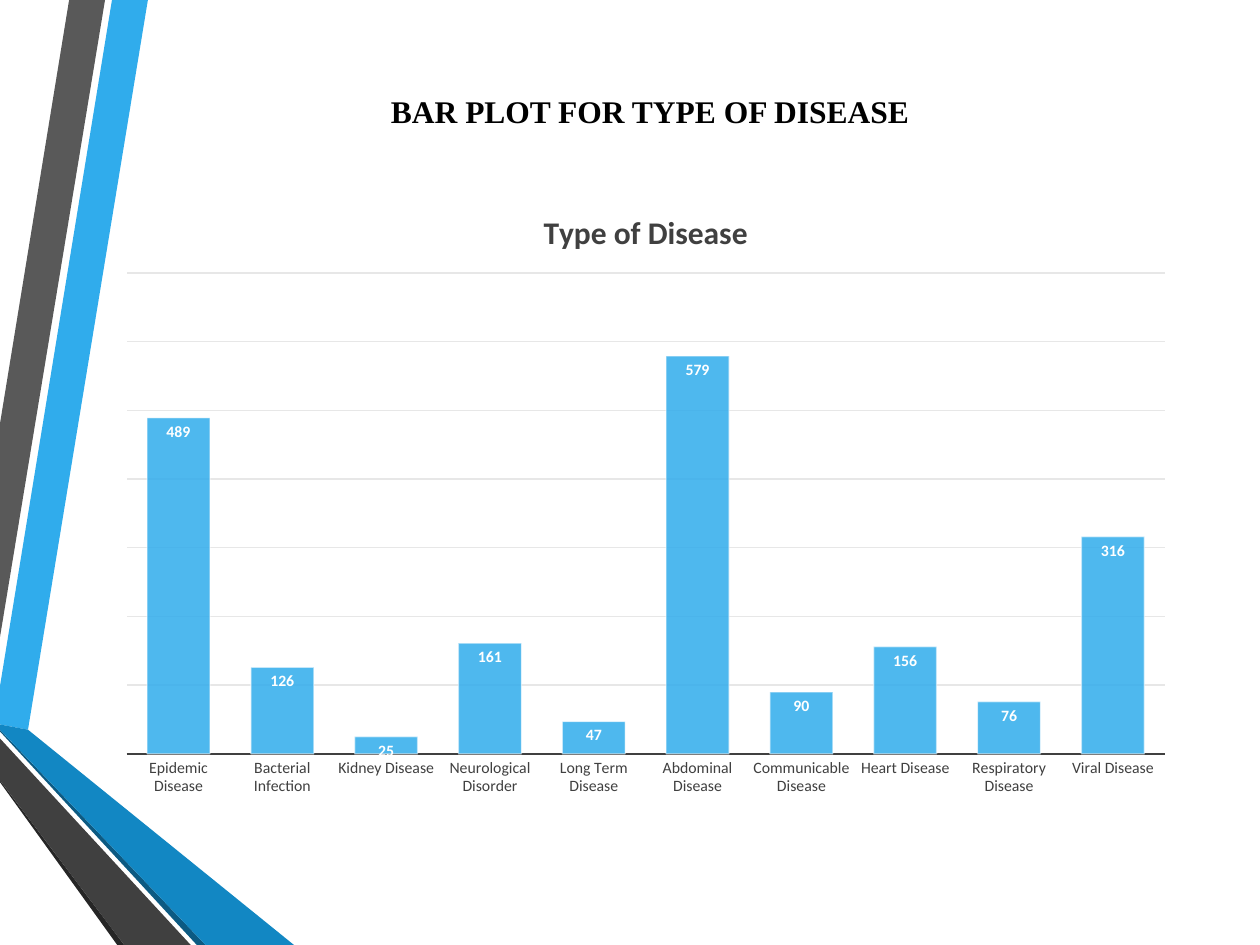
from lxml import etree
from pptx import Presentation
from pptx import util as u
from pptx.chart.data import CategoryChartData
from pptx.dml.color import RGBColor
from pptx.enum import chart as ch, text
from pptx.oxml import parse_xml
from pptx.oxml.ns import nsdecls, qn

COLORS = {
    "blue": "30ACEC", "mid_blue": "1287C3", "deep_blue": "0C5A82",
    "gray": "595959", "dark_gray": "404040", "near_black": "262626",
    "grid": "E7E7E7", "black": "000000", "white": "FFFFFF",
}

RIBBONS = [
    ("blue", [(0, 392), (0, 414), (16, 417), (84.5, 0), (64, 0)]),
    ("gray", [(60, 0), (39.5, 0), (0, 242), (0, 364)]),
    ("near_black", [(0, 446), (0, 447), (67, 540), (71, 540)]),
    ("deep_blue", [(0, 417), (0, 418), (112.5, 540), (117.5, 540)]),
    ("mid_blue", [(0, 417), (117.5, 540), (168, 540), (16, 417), (0, 414)]),
    ("dark_gray", [(0, 446), (71, 540), (109, 540), (0, 422)]),
]

DISEASES = {
    "Epidemic Disease": 489, "Bacterial Infection": 126, "Kidney Disease": 25,
    "Neurological Disorder": 161, "Long Term Disease": 47,
    "Abdominal Disease": 579, "Communicable Disease": 90,
    "Heart Disease": 156, "Respiratory Disease": 76, "Viral Disease": 316,
}


def rgb(name):
    return RGBColor.from_string(COLORS[name])


def style_font(font, name, size, color, bold=False):
    font.name = name
    font.size = u.Pt(size)
    font.bold = bold
    font.color.rgb = rgb(color)


def style_line(line, color, width):
    line.color.rgb = rgb(color)
    line.width = u.Pt(width)


def set_alpha(fill_parent, percent):
    color = fill_parent.find(qn("a:solidFill")).find(qn("a:srgbClr"))
    etree.SubElement(color, qn("a:alpha"), val=str(percent * 1000))


def add_ribbon(s, color, points):
    start, *rest = [(u.Pt(x), u.Pt(y)) for x, y in points]
    builder = s.shapes.build_freeform(*start)
    builder.add_line_segments(rest, close=True)
    sp = builder.convert_to_shape()
    sp.shadow.inherit = False
    sp.fill.solid()
    sp.fill.fore_color.rgb = rgb(color)
    sp.line.fill.background()


def add_heading(s, content, left, top, width, height):
    sp = s.shapes.add_textbox(u.Pt(left), u.Pt(top), u.Pt(width), u.Pt(height))
    tf = sp.text_frame
    tf.word_wrap = True
    p = tf.paragraphs[0]
    p.alignment = text.PP_ALIGN.CENTER
    r = p.add_run()
    r.text = content
    style_font(r.font, "Times New Roman", 18, "black", True)


def set_plot_layout(chart, x, y, w, h):
    area = chart.plots[0]._element.getparent()
    for old in area.findall(qn("c:layout")):
        area.remove(old)
    area.insert(0, parse_xml(
        f'<c:layout {nsdecls("c")}><c:manualLayout><c:layoutTarget val="inner"/>'
        '<c:xMode val="edge"/><c:yMode val="edge"/>'
        f'<c:x val="{x}"/><c:y val="{y}"/><c:w val="{w}"/><c:h val="{h}"/>'
        '</c:manualLayout></c:layout>'))


def style_title(chart, content):
    chart.has_title = True
    chart.chart_title.include_in_layout = False
    r = chart.chart_title.text_frame.paragraphs[0].add_run()
    r.text = content
    style_font(r.font, "Calibri", 18, "dark_gray", True)


def style_axes(chart):
    category = chart.category_axis
    category.major_tick_mark = ch.XL_TICK_MARK.NONE
    category.has_major_gridlines = False
    style_font(category.tick_labels.font, "Calibri", 9, "dark_gray")
    style_line(category.format.line, "dark_gray", 1.5)
    value = chart.value_axis
    value.visible = False
    value.minimum_scale, value.maximum_scale, value.major_unit = 0, 700, 100
    value.has_major_gridlines = True
    style_line(value.major_gridlines.format.line, "grid", 0.75)


def style_bars(plot):
    plot.gap_width = 65
    plot.vary_by_categories = False
    bars = plot.series[0]
    bars.format.fill.solid()
    bars.format.fill.fore_color.rgb = rgb("blue")
    style_line(bars.format.line, "white", 0.75)
    props = bars._element.find(qn("c:spPr"))
    set_alpha(props, 85)
    set_alpha(props.find(qn("a:ln")), 50)
    labels = bars.data_labels
    labels.show_value = True
    labels.position = ch.XL_LABEL_POSITION.INSIDE_END
    style_font(labels.font, "Calibri", 9, "white", True)


def add_bar_chart(s, title, values, left, top, width, height):
    data = CategoryChartData()
    data.categories = list(values)
    data.add_series("Series 1", list(values.values()))
    chart = s.shapes.add_chart(
        ch.XL_CHART_TYPE.COLUMN_CLUSTERED, u.Pt(left), u.Pt(top),
        u.Pt(width), u.Pt(height), data).chart
    chart.has_legend = False
    style_font(chart.font, "Calibri", 10, "black")
    style_title(chart, title)
    style_axes(chart)
    style_bars(chart.plots[0])
    set_plot_layout(chart, 0.02, 0.14, 0.96, 0.77)


def main():
    prs = Presentation()
    prs.slide_width, prs.slide_height = u.Pt(720), u.Pt(540)
    s = prs.slides.add_slide(prs.slide_layouts[6])
    for color, points in RIBBONS:
        add_ribbon(s, color, points)
    add_heading(s, "BAR PLOT FOR TYPE OF DISEASE", 196, 49, 351, 29)
    add_bar_chart(s, "Type of Disease", DISEASES, 60, 106, 618, 357)
    prs.save("out.pptx")


if __name__ == "__main__":
    main()
